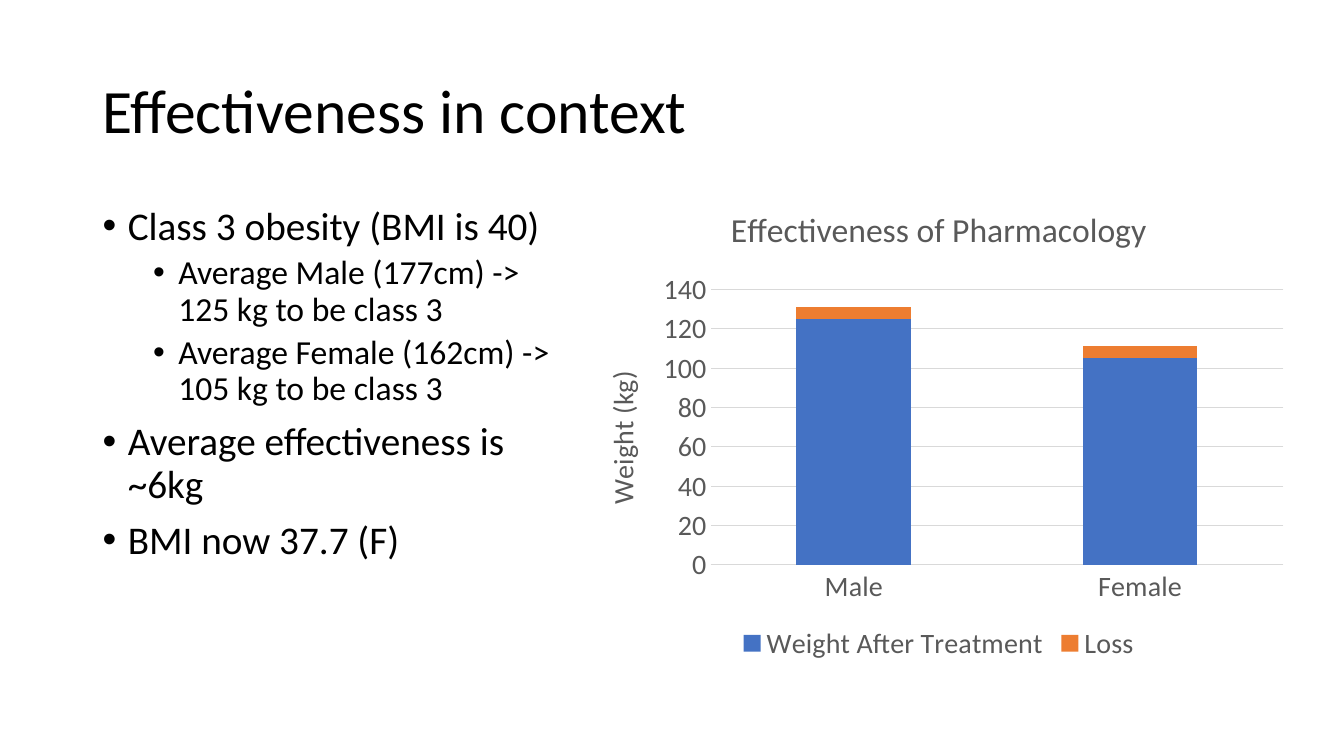
from lxml import etree
from pptx import Presentation
from pptx.chart.data import CategoryChartData
from pptx.dml.color import RGBColor
from pptx.enum import chart as ch, text as tx
from pptx.oxml.ns import qn
from pptx.util import Inches, Pt

FACE = "Calibri"
GREY = "595959"
RULE = "D9D9D9"
POINTS = [
    (0, "Class 3 obesity (BMI is 40)"),
    (1, "Average Male (177cm) -> 125 kg to be class 3"),
    (1, "Average Female (162cm) -> 105 kg to be class 3"),
    (0, "Average effectiveness is ~6kg"),
    (0, "BMI now 37.7 (F)"),
]
SERIES = [
    ("Weight After Treatment", (125, 105), "4472C4"),
    ("Loss", (6, 6), "ED7D31"),
]


def color(code):
    """Turn a hex string into a colour."""
    return RGBColor.from_string(code)


def style(font, size, code):
    """Set face, size and colour of a font."""
    font.name, font.size, font.bold = FACE, Pt(size), False
    font.color.rgb = color(code)


def rule(line):
    """Draw a line as a thin pale rule."""
    line.color.rgb = color(RULE)
    line.width = Pt(0.75)


def add_frame(slide, box):
    """Add a wrapping text box and return its frame."""
    frame = slide.shapes.add_textbox(*map(Inches, box)).text_frame
    frame.word_wrap = True
    return frame


def add_title(slide, box):
    """Place the slide title, centred in height."""
    frame = add_frame(slide, box)
    frame.vertical_anchor = tx.MSO_ANCHOR.MIDDLE
    para = frame.paragraphs[0]
    para.text = "Effectiveness in context"
    para.line_spacing = 0.9
    style(para.font, 44, "000000")


def add_points(slide, box):
    """Place the bulleted list on two levels."""
    frame = add_frame(slide, box)
    for i, (level, words) in enumerate(POINTS):
        para = frame.add_paragraph() if i else frame.paragraphs[0]
        para.text = words
        para.level = level
        para.line_spacing = 0.9
        para.space_before = Pt((5 if level else 10) if i else 0)
        props = para._p.get_or_add_pPr()
        props.set("marL", str(Inches(0.25 + 0.5 * level)))
        props.set("indent", str(Inches(-0.25)))
        etree.SubElement(props, qn("a:buFont"), typeface="Arial")
        etree.SubElement(props, qn("a:buChar"), char="•")
        style(para.font, 24 if level else 28, "000000")


def set_head(owner, words, size):
    """Give a chart or an axis its title."""
    para = owner.text_frame.paragraphs[0]
    para.text = words
    style(para.font, size, GREY)


def add_graph(slide, box):
    """Place the stacked column chart."""
    data = CategoryChartData()
    data.categories = ["Male", "Female"]
    for name, values, _ in SERIES:
        data.add_series(name, values)
    kind = ch.XL_CHART_TYPE.COLUMN_STACKED
    chart = slide.shapes.add_chart(kind, *map(Inches, box), data).chart
    style(chart.font, 20, GREY)
    set_head(chart.chart_title, "Effectiveness of Pharmacology", 24)
    chart.chart_title.include_in_layout = False

    plot = chart.plots[0]
    plot.gap_width, plot.overlap = 150, 100
    plot.vary_by_categories = False
    for series, (_, _, code) in zip(plot.series, SERIES):
        series.format.fill.solid()
        series.format.fill.fore_color.rgb = color(code)

    for axis in (chart.category_axis, chart.value_axis):
        axis.major_tick_mark = axis.minor_tick_mark = ch.XL_TICK_MARK.NONE
        style(axis.tick_labels.font, 20, GREY)
    rule(chart.category_axis.format.line)
    scale = chart.value_axis
    scale.format.line.fill.background()
    rule(scale.major_gridlines.format.line)
    set_head(scale.axis_title, "Weight (kg)", 20)

    chart.has_legend = True
    chart.legend.position = ch.XL_LEGEND_POSITION.BOTTOM
    chart.legend.include_in_layout = False
    style(chart.legend.font, 20, GREY)


def main():
    """Build the slide and save it."""
    deck = Presentation()
    deck.slide_width, deck.slide_height = Inches(13.33), Inches(7.5)
    slide = deck.slides.add_slide(deck.slide_layouts[6])
    add_title(slide, (0.92, 0.4, 11.5, 1.45))
    add_points(slide, (0.92, 2, 4.66, 4.76))
    add_graph(slide, (5.75, 1.85, 7.12, 4.76))
    deck.save("out.pptx")


if __name__ == "__main__":
    main()
